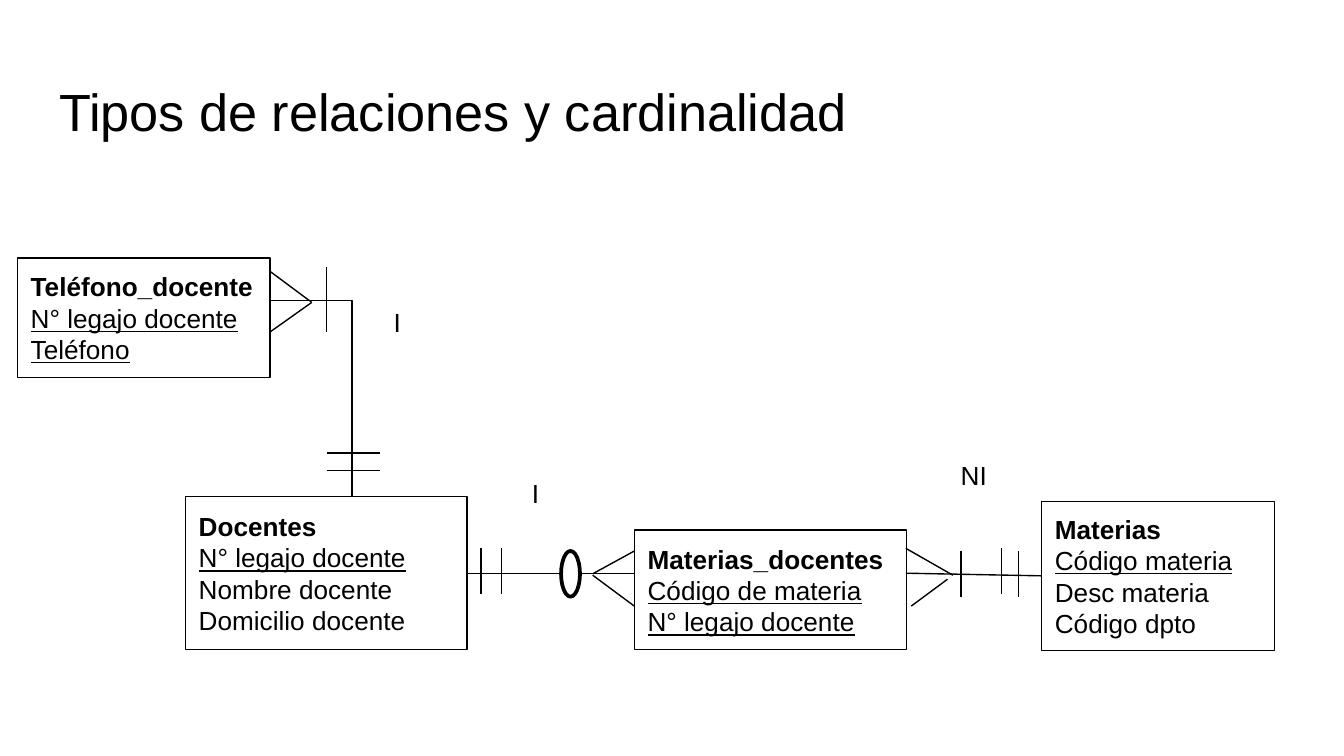
from dataclasses import dataclass

import pptx
import pptx.dml.color
import pptx.enum.shapes
import pptx.enum.text
import pptx.oxml.ns
import pptx.util
from lxml import etree

SHAPE = pptx.enum.shapes.MSO_SHAPE
CONNECTOR = pptx.enum.shapes.MSO_CONNECTOR
ANCHOR = pptx.enum.text.MSO_ANCHOR
RIGHT, LEFT = 3, 1  # connection sites of a rectangle


@dataclass(frozen=True)
class Theme:
    font: str = "Arial"
    ink: str = "000000"
    paper: str = "FFFFFF"
    title_pt: float = 28
    body_pt: float = 14
    line_pt: float = 0.75
    ring_pt: float = 2


@dataclass(frozen=True)
class Entity:
    name: str
    x: float
    y: float
    w: float
    h: float
    keys: tuple[str, ...]
    fields: tuple[str, ...] = ()


@dataclass(frozen=True)
class Label:
    text: str
    x: float
    y: float
    w: float


@dataclass(frozen=True)
class Stroke:
    x1: float
    y1: float
    x2: float
    y2: float


THEME = Theme()
WIDTH = pptx.util.Inches(10)
HEIGHT = WIDTH * 9 // 16
CELL = WIDTH / 100  # square grid, 100 columns across the slide
TICK, LABEL_H = 3.4, 3.4

ENTITIES = (
    Entity("Docentes", 13.8, 36.95, 20.95, 11.4, ("N° legajo docente",),
           ("Nombre docente", "Domicilio docente")),
    Entity("Teléfono_docente", 1.3, 19.2, 18.8, 8.9, ("N° legajo docente", "Teléfono")),
    Entity("Materias_docentes", 47.2, 39.45, 20.25, 8.9,
           ("Código de materia", "N° legajo docente")),
    Entity("Materias", 77.5, 37.3, 17.35, 11.1, ("Código materia",),
           ("Desc materia", "Código dpto")),
)
LABELS = (Label("I", 28.3, 22.3, 4.3), Label("I", 38.6, 35, 4), Label("NI", 70.5, 33.7, 5.2))
CROW_FEET = (
    Stroke(20.1, 20.2, 23.2, 22.5), Stroke(20.1, 24.7, 23.2, 22.5),
    Stroke(44.1, 42.7, 47.2, 41), Stroke(44.1, 42.8, 47.2, 45.1),
    Stroke(67.4, 40.8, 70.9, 42.8), Stroke(67.8, 45.1, 70.5, 43.1),
)
BARS = (
    Stroke(24.3, 19.9, 24.3, 24.7),
    *(Stroke(24.3, y, 28.3, y) for y in (33.7, 35)),
    *(Stroke(x, y, x, y + TICK)
      for x, y in ((35.8, 40.8), (37.3, 40.8), (71.5, 41), (74.5, 40.8), (75.8, 41))),
)


def grid(*cells: float) -> list[int]:
    return [round(c * CELL) for c in cells]


def rgb(value: str) -> pptx.dml.color.RGBColor:
    return pptx.dml.color.RGBColor.from_string(value)


def write(p, text: str, *, size: float = THEME.body_pt, bold: bool = False,
          underline: bool = False) -> None:
    p.alignment = pptx.enum.text.PP_ALIGN.LEFT
    r = p.add_run()
    r.text = text
    font = r.font
    font.name, font.size = THEME.font, pptx.util.Pt(size)
    font.bold, font.underline = bold, underline
    font.color.rgb = rgb(THEME.ink)


def frame(tf, inset_y: float, anchor: ANCHOR) -> None:
    tf.margin_left, tf.margin_right, tf.margin_top, tf.margin_bottom = grid(
        1, 1, inset_y, inset_y)
    tf.word_wrap, tf.vertical_anchor = True, anchor
    tf.auto_size = pptx.enum.text.MSO_AUTO_SIZE.NONE


def outline(line, width: float = THEME.line_pt) -> None:
    line.color.rgb = rgb(THEME.ink)
    line.width = pptx.util.Pt(width)


def add_entity(slide, entity: Entity):
    sp = slide.shapes.add_shape(
        SHAPE.RECTANGLE, *grid(entity.x, entity.y, entity.w, entity.h))
    sp.shadow.inherit = False
    sp.fill.background()
    outline(sp.line)
    tf = sp.text_frame
    frame(tf, 1, ANCHOR.MIDDLE)
    write(tf.paragraphs[0], entity.name, bold=True)
    for text in entity.keys:
        write(tf.add_paragraph(), text, underline=True)
    for text in entity.fields:
        write(tf.add_paragraph(), text)
    return sp


def add_stroke(slide, s: Stroke, kind: CONNECTOR = CONNECTOR.STRAIGHT):
    cxn = slide.shapes.add_connector(kind, *grid(s.x1, s.y1, s.x2, s.y2))
    outline(cxn.line)
    etree.SubElement(cxn._element.spPr, pptx.oxml.ns.qn("a:effectLst"))
    return cxn


def add_corner(slide, s: Stroke) -> None:
    """Draw a connector that runs across, then down, with one bend."""
    cxn = add_stroke(slide, s, CONNECTOR.ELBOW)
    geometry = cxn._element.spPr.find(pptx.oxml.ns.qn("a:prstGeom"))
    geometry.set("prst", "bentConnector2")


def add_label(slide, label: Label) -> None:
    sp = slide.shapes.add_textbox(*grid(label.x, label.y, label.w, LABEL_H))
    frame(sp.text_frame, 0.5, ANCHOR.TOP)
    write(sp.text_frame.paragraphs[0], label.text)


def add_optional_ring(slide) -> None:
    sp = slide.shapes.add_shape(SHAPE.OVAL, *grid(41.75, 41, 1.4, TICK))
    sp.shadow.inherit = False
    sp.fill.solid()
    sp.fill.fore_color.rgb = rgb(THEME.paper)
    outline(sp.line, THEME.ring_pt)


def main() -> None:
    prs = pptx.Presentation()
    prs.slide_width, prs.slide_height = WIDTH, HEIGHT
    slide = prs.slides.add_slide(prs.slide_layouts.get_by_name("Title Only"))

    title = slide.shapes.title
    title.left, title.top, title.width, title.height = grid(3.4, 4.9, 93.2, 6.3)
    frame(title.text_frame, 1, ANCHOR.TOP)
    write(title.text_frame.paragraphs[0], "Tipos de relaciones y cardinalidad",
          size=THEME.title_pt)

    boxes = {e.name: add_entity(slide, e) for e in ENTITIES}
    teaching = add_stroke(slide, Stroke(34.75, 42.65, 47.2, 42.65))
    teaching.begin_connect(boxes["Docentes"], RIGHT)
    subject = add_stroke(slide, Stroke(67.4, 42.65, 77.5, 42.85))
    subject.end_connect(boxes["Materias"], LEFT)
    add_corner(slide, Stroke(20.1, 22.35, 26.2, 36.95))

    for s in CROW_FEET + BARS:
        add_stroke(slide, s)
    add_optional_ring(slide)
    for label in LABELS:
        add_label(slide, label)
    prs.save("out.pptx")


if __name__ == "__main__":
    main()
